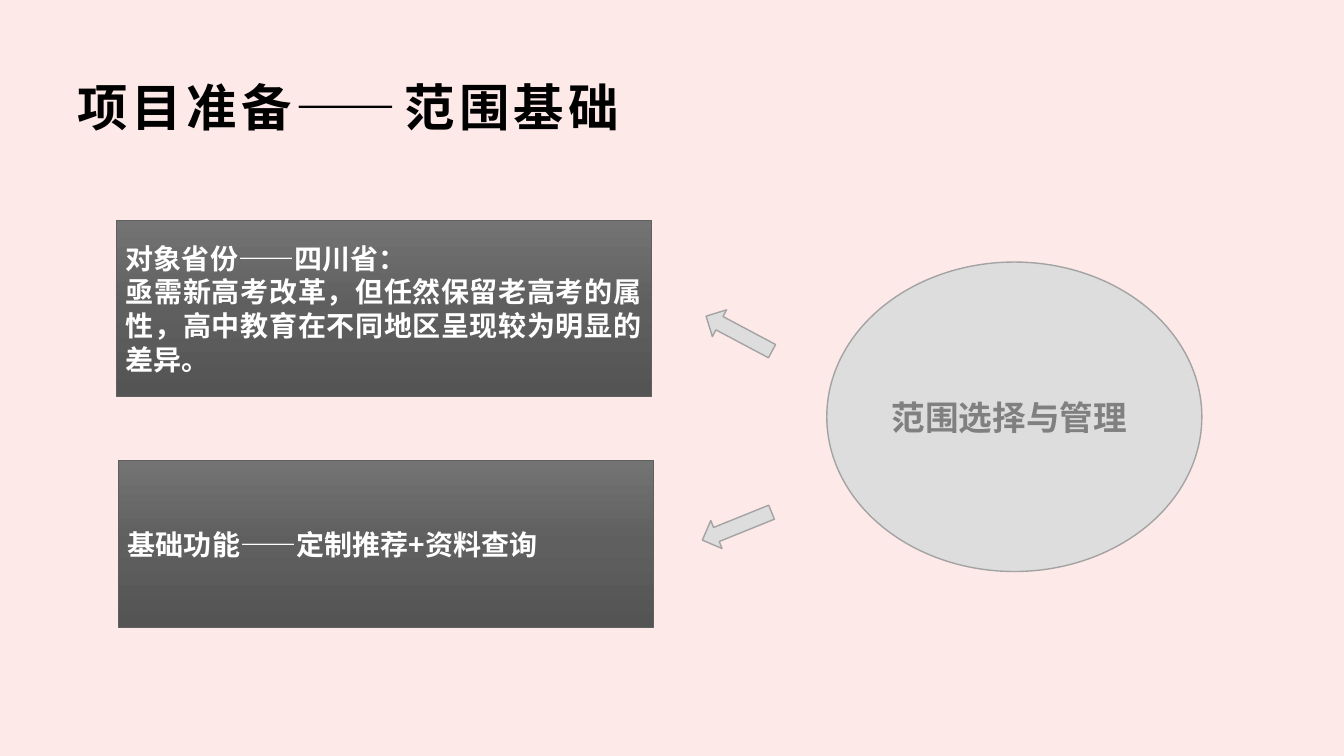
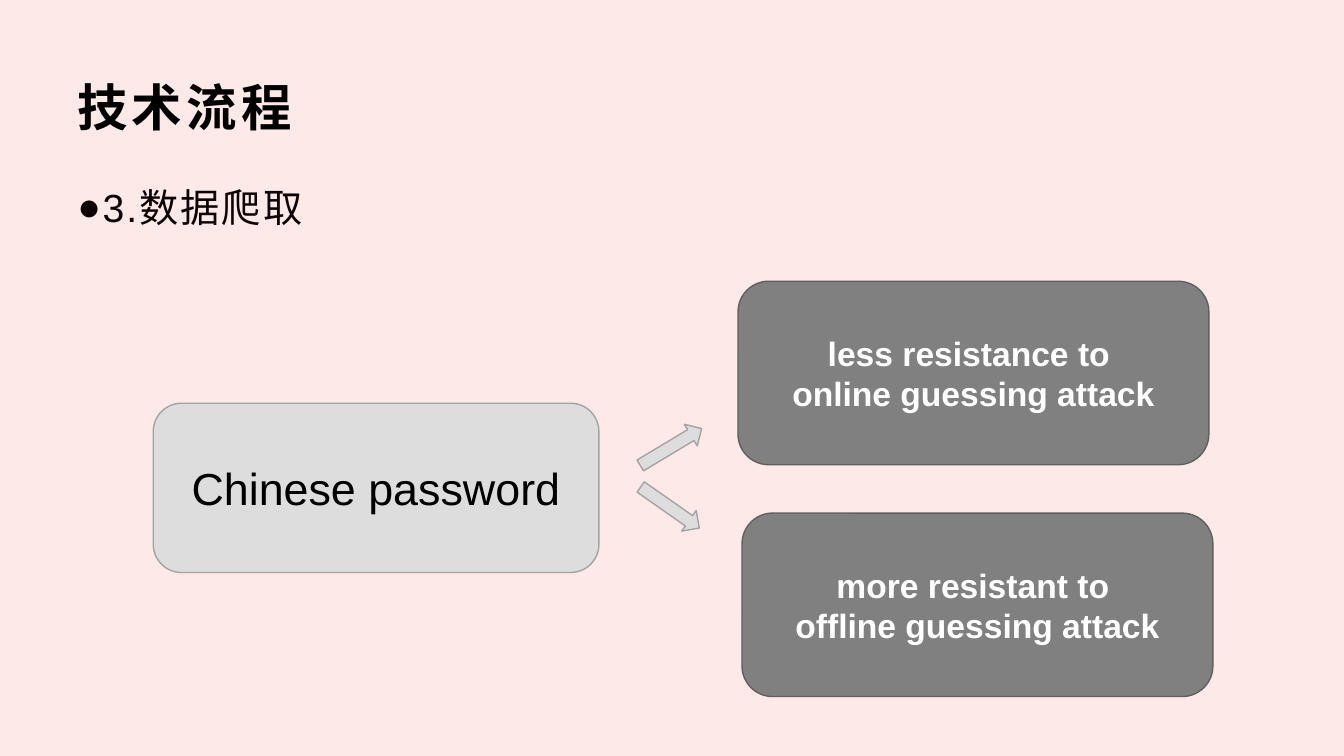
from copy import deepcopy

from lxml.etree import SubElement
from pptx import Presentation
from pptx.dml.color import RGBColor
from pptx.enum.shapes import MSO_SHAPE
from pptx.enum.text import MSO_ANCHOR, PP_ALIGN
from pptx.oxml.ns import qn
from pptx.util import Pt

PX = 9144  # 100 px to the inch
COLORS = {
    "back": "FDE9E8", "title": "000000", "body": "0C0104",
    "light": "DDDDDD", "edge": "A3A3A3", "dark": "808080", "rim": "5F5F5F",
    "top": "737373", "mid": "5F5F5F", "low": "545454", "white": "FFFFFF",
}
LATIN, CJK = "Arial", "Noto Sans CJK SC"
ARROW = (74, 30)
SMALL = (71, 25)


def rgb(name):
    return RGBColor.from_string(COLORS[name])


def px(*nums):
    return [num * PX for num in nums]


def write(shape, text, size, color, bold=False, font=LATIN, align=None,
          anchor=MSO_ANCHOR.MIDDLE, track=0):
    """Fill a shape with one paragraph per line of text; track is in points."""
    frame = shape.text_frame
    frame.word_wrap = True
    frame.vertical_anchor = anchor
    for num, line in enumerate(text.split("\n")):
        para = frame.add_paragraph() if num else frame.paragraphs[0]
        para.alignment = align
        run = para.add_run()
        run.text = line
        run.font.size = Pt(size)
        run.font.bold = bold
        run.font.name = font
        run.font.color.rgb = rgb(color)
        props = run.font._element
        SubElement(props, qn("a:ea")).set("typeface", CJK)
        if track:
            props.set("spc", str(int(track * 100)))


def shade(shape):
    """Give a shape the three-step dark gradient, running downwards."""
    fill = shape.fill
    fill.gradient()
    fill.gradient_angle = 270
    stops = shape._element.spPr.find(qn("a:gradFill")).find(qn("a:gsLst"))
    stops.insert(1, deepcopy(stops[0]))
    for stop, name, place in zip(fill.gradient_stops, ("top", "mid", "low"), (0, 0.5, 1)):
        stop.color.rgb = rgb(name)
        stop.position = place


def draw(slide, kind, box, fill="light", line="edge", width=1, turn=0):
    shape = slide.shapes.add_shape(kind, *px(*box))
    shape.shadow.inherit = False
    if fill:
        shape.fill.solid()
        shape.fill.fore_color.rgb = rgb(fill)
    else:
        shade(shape)
    shape.line.color.rgb = rgb(line)
    shape.line.width = Pt(width)
    shape.rotation = turn
    return shape


def start(deck, title):
    """Add a slide with the shared background and title."""
    slide = deck.slides.add_slide(deck.slide_layouts[6])
    slide.background.fill.solid()
    slide.background.fill.fore_color.rgb = rgb("back")
    box = slide.shapes.add_textbox(*px(67, 67, 1200, 77))
    write(box, title, 36, "title", bold=True, track=3)
    return slide


def bullet(slide, text):
    box = slide.shapes.add_textbox(*px(67, 163, 1200, 106))
    write(box, text, 28, "body", anchor=MSO_ANCHOR.TOP, track=1.5)
    para = box.text_frame.paragraphs[0]
    para.line_spacing = 1.3
    para.space_after = Pt(10)
    props = para._element.get_or_add_pPr()
    props.set("marL", str(25 * PX))
    props.set("indent", str(-25 * PX))
    SubElement(props, qn("a:buFont")).set("typeface", LATIN)
    SubElement(props, qn("a:buChar")).set("char", "●")


def scope(deck):
    slide = start(deck, "项目准备——范围基础")
    cards = (
        ((115, 219, 531, 174),
         "对象省份——四川省：\n"
         "亟需新高考改革，但任然保留老高考的属性，高中教育在不同地区呈现较为明显的差异。"),
        ((117, 457, 531, 165), "基础功能——定制推荐+资料查询"),
    )
    for box, text in cards:
        card = draw(slide, MSO_SHAPE.RECTANGLE, box, None, "rim", 0.5)
        write(card, text, 20, "white", bold=True, font=CJK, align=PP_ALIGN.JUSTIFY)
    hub = draw(slide, MSO_SHAPE.OVAL, (820, 260, 372, 307))
    write(hub, "范围选择与管理", 24, "dark", bold=True, align=PP_ALIGN.JUSTIFY)
    for left, top, turn in ((696, 316, 28), (694, 507, 338)):
        draw(slide, MSO_SHAPE.LEFT_ARROW, (left, top, *ARROW), turn=turn)


def flow(deck):
    slide = start(deck, "技术流程")
    bullet(slide, "3.数据爬取")
    root = draw(slide, MSO_SHAPE.ROUNDED_RECTANGLE, (152, 400, 442, 168))
    write(root, "Chinese password", 32, "title", align=PP_ALIGN.CENTER)
    results = (
        (732, 279, "less resistance to \nonline guessing attack"),
        (736, 509, "more resistant to \noffline guessing attack"),
    )
    for left, top, text in results:
        card = draw(slide, MSO_SHAPE.ROUNDED_RECTANGLE, (left, top, 467, 182), "dark", "rim")
        write(card, text, 24, "white", bold=True, align=PP_ALIGN.CENTER)
    for left, top, turn in ((630, 431, 329), (629, 491, 35)):
        draw(slide, MSO_SHAPE.RIGHT_ARROW, (left, top, *SMALL), turn=turn)


def main():
    deck = Presentation()
    deck.slide_width, deck.slide_height = px(1333, 750)
    scope(deck)
    flow(deck)
    deck.save("out.pptx")


if __name__ == "__main__":
    main()
